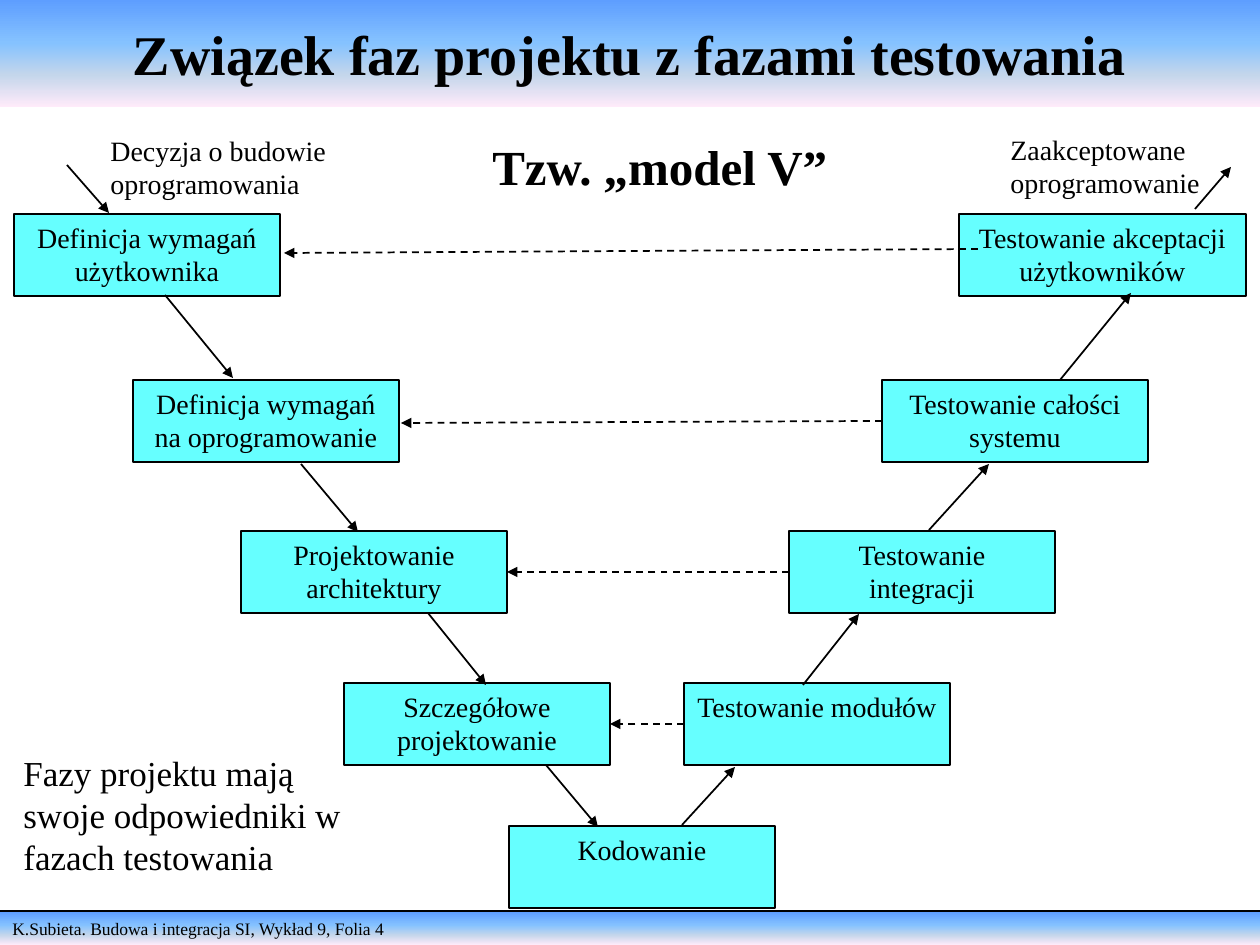
from lxml import etree
from pptx import Presentation, util as u
from pptx.dml.color import RGBColor
from pptx.enum import dml, shapes, text
from pptx.oxml import ns

BLACK = RGBColor(0, 0, 0)
CYAN = RGBColor(0x66, 0xFF, 0xFF)
BLUE = RGBColor(0x5E, 0x9E, 0xFF)
SKY = RGBColor(0x85, 0xC2, 0xFF)
MIST = RGBColor(0xC4, 0xD6, 0xEB)
PINK = RGBColor(0xFF, 0xEB, 0xFA)
STOPS = [(0, BLUE), (40, SKY), (70, MIST), (100, PINK)]

FONT = "Times New Roman"
WIDE, HIGH = 1260, 945
BOX_W, BOX_H = 266, 82
LEFT, RIGHT = 1, 3  # connection sites of a rectangle

# Each level of the V: top, design phase (left, text), test phase (left, width, text)
LEVELS = [
    (214, (14, "Definicja wymagań użytkownika"),
     (959, 287, "Testowanie akceptacji użytkowników")),
    (380, (133, "Definicja wymagań na oprogramowanie"),
     (882, BOX_W, "Testowanie całości systemu")),
    (531, (241, "Projektowanie architektury"),
     (789, BOX_W, "Testowanie\nintegracji")),
    (683, (344, "Szczegółowe projektowanie"),
     (684, BOX_W, "Testowanie modułów")),
]
FLOW = [
    (67, 165, 109, 213), (165, 295, 233, 378), (301, 464, 358, 532),
    (428, 613, 486, 685), (546, 765, 598, 827), (682, 825, 735, 767),
    (803, 685, 859, 614), (929, 530, 989, 464), (1060, 380, 1131, 293),
    (1195, 209, 1231, 167),
]


def px(n):
    return u.Inches(n / 126)


def write(shape, words, size, align=text.PP_ALIGN.LEFT, bold=False):
    frame = shape.text_frame
    frame.word_wrap = True
    frame.text = words
    for para in frame.paragraphs:
        para.alignment = align
        font = para.font
        font.name, font.size, font.bold = FONT, u.Pt(size), bold
        font.color.rgb = BLACK


def add_rect(slide, x, y, w, h, anchor=text.MSO_ANCHOR.TOP):
    rect = slide.shapes.add_shape(
        shapes.MSO_SHAPE.RECTANGLE, px(x), px(y), px(w), px(h))
    rect.shadow.inherit = False
    rect.text_frame.vertical_anchor = anchor
    return rect


def add_band(slide, y, h, anchor):
    """Add a full-width bar with the vertical four-colour gradient."""
    band = add_rect(slide, 0, y, WIDE, h, anchor)
    band.line.fill.background()
    band.fill.gradient()
    band.fill.gradient_angle = 270
    stops = band.fill._fill._gradFill.find(ns.qn("a:gsLst"))
    for old in list(stops):
        stops.remove(old)
    for part, color in STOPS:
        stop = etree.SubElement(stops, ns.qn("a:gs"), pos=str(part * 1000))
        etree.SubElement(stop, ns.qn("a:srgbClr"), val=str(color))
    return band


def add_phase(slide, x, y, words, w=BOX_W):
    box = add_rect(slide, x, y, w, BOX_H)
    box.fill.solid()
    box.fill.fore_color.rgb = CYAN
    box.line.color.rgb = BLACK
    box.line.width = u.Pt(1)
    write(box, words, 16, text.PP_ALIGN.CENTER)
    return box


def add_label(slide, x, y, w, h, words, size, bold=False):
    label = slide.shapes.add_textbox(px(x), px(y), px(w), px(h))
    write(label, words, size, bold=bold)


def add_line(slide, x1, y1, x2, y2, arrow=True, dash=False):
    line = slide.shapes.add_connector(
        shapes.MSO_CONNECTOR.STRAIGHT, px(x1), px(y1), px(x2), px(y2))
    line.line.color.rgb = BLACK
    line.line.width = u.Pt(1)
    if dash:
        line.line.dash_style = dml.MSO_LINE.DASH
    if arrow:
        etree.SubElement(line.line._get_or_add_ln(), ns.qn("a:tailEnd"),
                         type="triangle")
    etree.SubElement(line._element.spPr, ns.qn("a:effectLst"))
    return line


def main():
    deck = Presentation()
    deck.slide_width, deck.slide_height = px(WIDE), px(HIGH)
    slide = deck.slides.add_slide(deck.slide_layouts[6])

    foot = add_band(slide, 912, 33, text.MSO_ANCHOR.TOP)
    write(foot, "K.Subieta. Budowa i integracja SI, Wykład 9, Folia 4", 10)
    add_line(slide, 0, 911, WIDE, 911, arrow=False)
    title = add_band(slide, 0, 107, text.MSO_ANCHOR.MIDDLE)
    write(title, "Związek faz projektu z fazami testowania", 32,
          text.PP_ALIGN.CENTER, bold=True)

    pairs = []
    for y, (x, plan), (test_x, test_w, test) in LEVELS:
        pairs.append((add_phase(slide, x, y, plan),
                      add_phase(slide, test_x, y, test, test_w)))
    add_phase(slide, 509, 826, "Kodowanie")

    for ends in FLOW:
        add_line(slide, *ends)

    add_line(slide, 978, 249, 284, 253, dash=True)
    system = add_line(slide, 882, 421, 401, 423, dash=True)
    system.begin_connect(pairs[1][1], LEFT)
    for plan, test in pairs[2:]:
        link = add_line(slide, 0, 0, 0, 0, dash=True)
        link.begin_connect(test, LEFT)
        link.end_connect(plan, RIGHT)

    add_label(slide, 98, 127, 268, 81, "Decyzja o budowie oprogramowania", 16)
    add_label(slide, 998, 126, 268, 81, "Zaakceptowane oprogramowanie", 16)
    add_label(slide, 11, 745, 355, 139,
              "Fazy projektu mają swoje odpowiedniki w fazach testowania", 20)
    add_label(slide, 480, 130, 364, 72, "Tzw. „model V”", 28, bold=True)
    deck.save("out.pptx")


if __name__ == "__main__":
    main()
